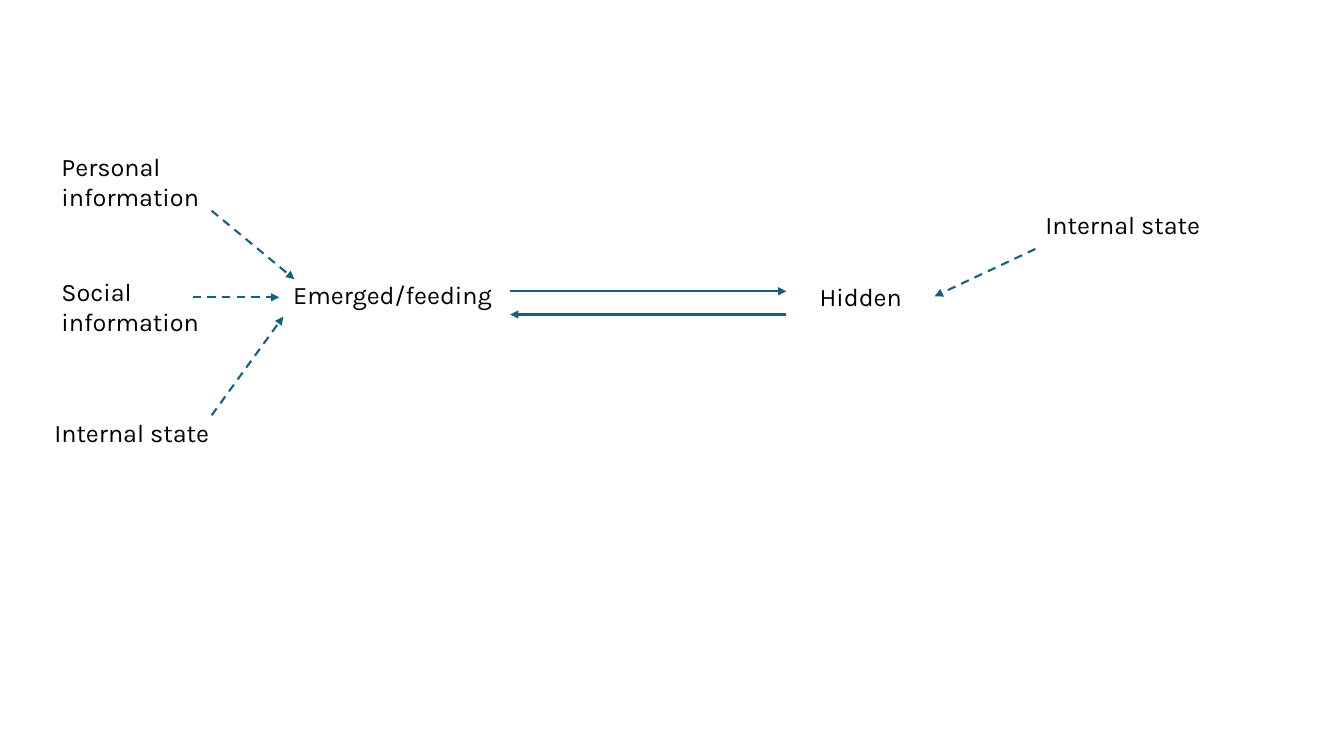
"""Build a slide of the emerged and hidden states and the cues that drive them."""
from dataclasses import dataclass

from lxml.etree import SubElement
from pptx import Presentation
from pptx.dml.color import RGBColor
from pptx.enum.dml import MSO_LINE_DASH_STYLE as Dash
from pptx.enum.shapes import MSO_CONNECTOR as Connector
from pptx.enum.text import MSO_AUTO_SIZE as AutoSize
from pptx.oxml.ns import qn
from pptx.util import Inches, Pt

WIDE, NARROW = 16.88, 15.15
ONE_LINE, TWO_LINES = 5.33, 9.47

# Lengths are percentages of the slide's width and height.
LABELS = [
    ("Hidden", 60.24, 36.53, NARROW, ONE_LINE),
    ("Emerged/feeding", 21.08, 36.27, WIDE, ONE_LINE),
    ("Personal information", 3.83, 19.33, WIDE, TWO_LINES),
    ("Social information", 3.83, 35.87, NARROW, TWO_LINES),
    ("Internal state", 3.3, 54.53, WIDE, ONE_LINE),
    ("Internal state", 77.04, 27.07, WIDE, ONE_LINE),
]
TRANSITIONS = [
    ((37.96, 38.53), (58.51, 38.53)),
    ((58.51, 41.6), (37.96, 41.6)),
]
INFLUENCES = [
    ((15.75, 27.87), (21.91, 36.93)),
    ((14.33, 39.33), (20.78, 39.33)),
    ((15.75, 54.93), (21.08, 41.87)),
    ((77.04, 32.93), (69.54, 39.2)),
]


@dataclass(frozen=True)
class Theme:
    font: str = "Karla"
    size: Pt = Pt(18)
    ink: RGBColor = RGBColor(0, 0, 0)
    arrow: RGBColor = RGBColor(0x15, 0x60, 0x82)
    stroke: Pt = Pt(1.5)


THEME = Theme()
WIDTH, HEIGHT = Inches(13.33), Inches(7.5)


def across(share):
    return round(WIDTH * share / 100)


def down(share):
    return round(HEIGHT * share / 100)


def add_label(page, text, left, top, width, height):
    box = page.shapes.add_textbox(across(left), down(top), across(width), down(height))
    box.text_frame.word_wrap = True
    box.text_frame.auto_size = AutoSize.SHAPE_TO_FIT_TEXT
    span = box.text_frame.paragraphs[0].add_run()
    span.text = text
    span.font.name = THEME.font
    span.font.size = THEME.size
    span.font.color.rgb = THEME.ink


def add_arrow(page, start, end, dash):
    arrow = page.shapes.add_connector(
        Connector.STRAIGHT,
        across(start[0]), down(start[1]), across(end[0]), down(end[1]),
    )
    arrow.line.color.rgb = THEME.arrow
    arrow.line.width = THEME.stroke
    arrow.line.dash_style = dash
    properties = arrow.element.spPr
    SubElement(properties.find(qn("a:ln")), qn("a:tailEnd"), type="triangle")
    SubElement(properties, qn("a:effectLst"))


def main():
    deck = Presentation()
    deck.slide_width, deck.slide_height = WIDTH, HEIGHT
    page = deck.slides.add_slide(deck.slide_layouts.get_by_name("Blank"))
    for label in LABELS:
        add_label(page, *label)
    for arrows, dash in ((TRANSITIONS, Dash.SOLID), (INFLUENCES, Dash.DASH)):
        for start, end in arrows:
            add_arrow(page, start, end, dash)
    deck.save("out.pptx")


if __name__ == "__main__":
    main()
